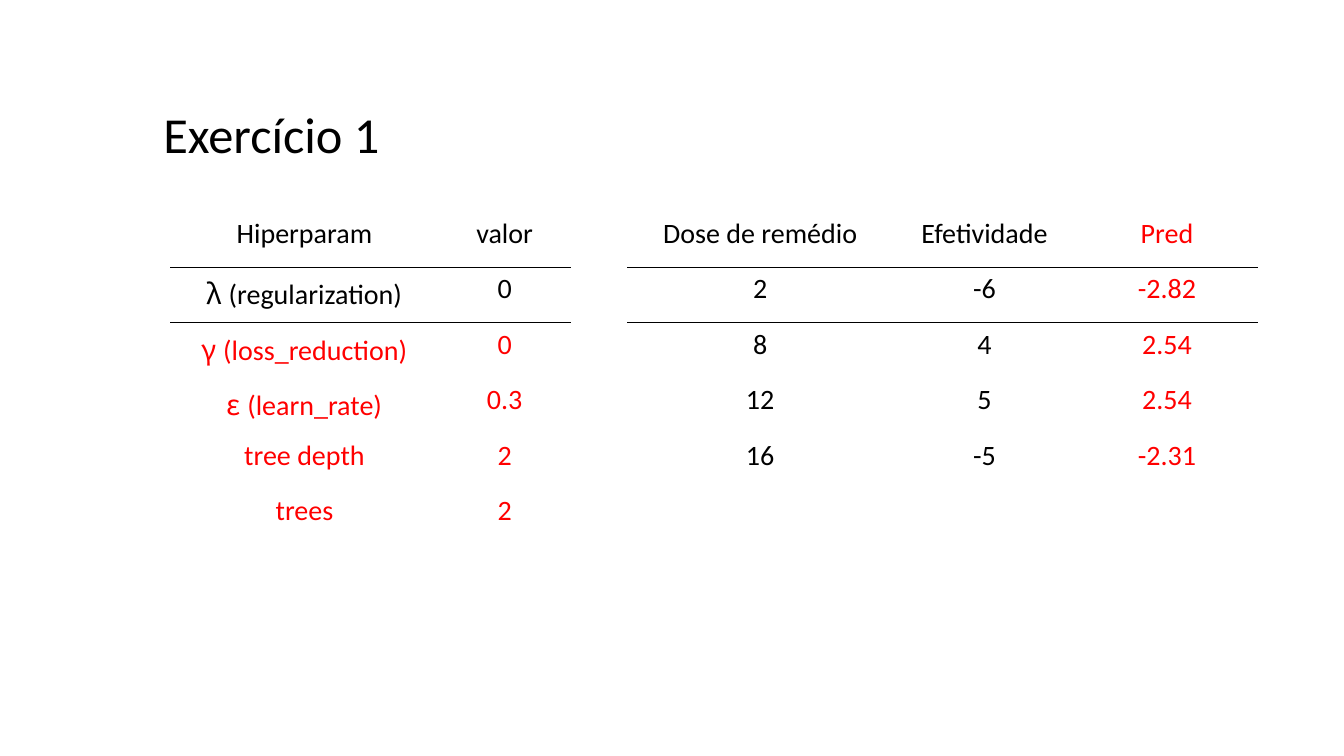
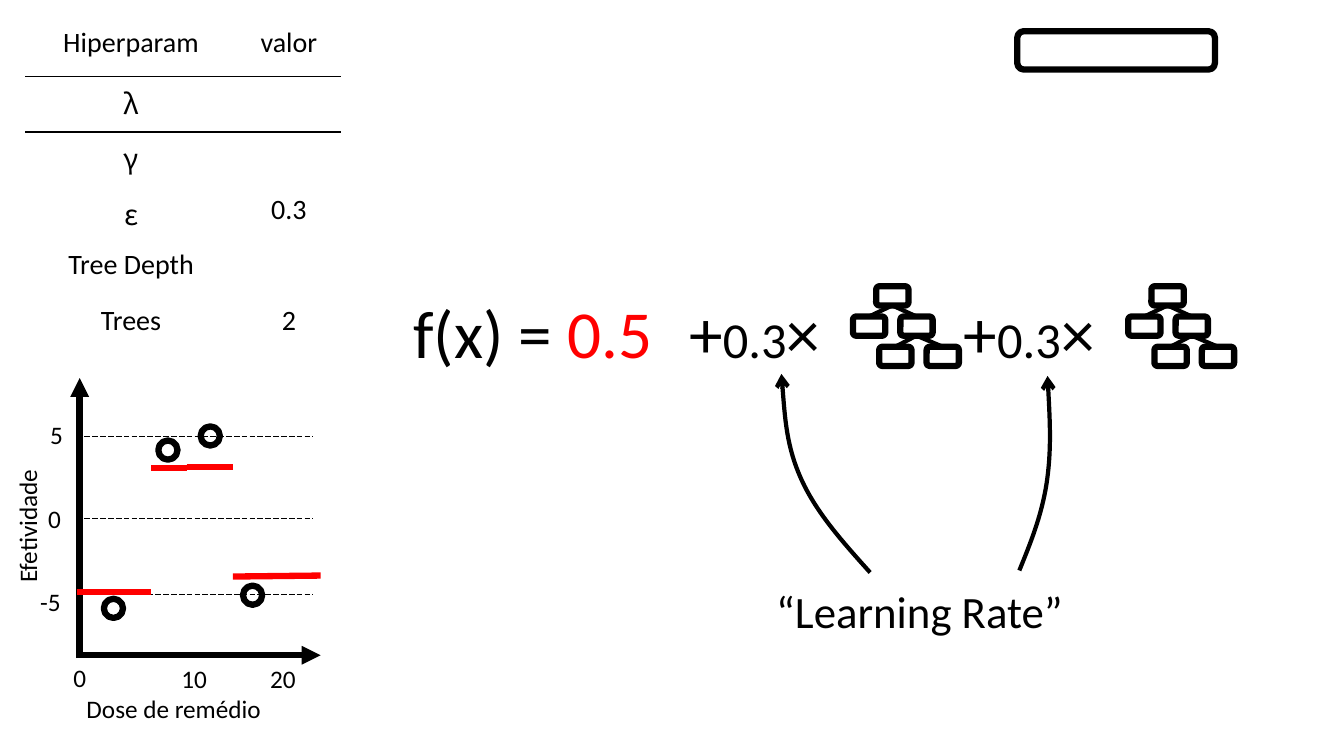
from lxml import etree
from pptx import Presentation
from pptx.dml.color import RGBColor
from pptx.enum.dml import MSO_LINE
from pptx.enum.shapes import MSO_CONNECTOR, MSO_SHAPE
from pptx.enum.text import MSO_ANCHOR, MSO_AUTO_SIZE, PP_ALIGN
from pptx.oxml.ns import qn
from pptx.util import Inches, Pt

COLORS = {"ink": "000000", "accent": "FF0000", "paper": "FFFFFF"}
TEXT_FONT, SYMBOL_FONT = "Calibri", "Noto Sans CJK SC"
SYMBOLS = "λγε"
TITLE_ONLY, BLANK = 5, 6
PLAIN_TABLE = "{2D5ABB26-0587-4C30-8999-92F81FD0307C}"
STRAIGHT = MSO_CONNECTOR.STRAIGHT
ROUNDED, CIRCLE = MSO_SHAPE.ROUNDED_RECTANGLE, MSO_SHAPE.OVAL
LONG_DASH = MSO_LINE.LONG_DASH
LEFT, CENTER, TOP = PP_ALIGN.LEFT, PP_ALIGN.CENTER, MSO_ANCHOR.TOP
ROW_HEIGHT = 0.55
NODE_WIDTH, NODE_HEIGHT = 0.32, 0.19
POINT_SIZE = 0.19


def rgb(name):
    return RGBColor.from_string(COLORS[name])


def add_run(paragraph, text, size, color="ink", font=TEXT_FONT):
    run = paragraph.add_run()
    run.text = text
    run.font.size = Pt(size)
    run.font.name = font
    run.font.color.rgb = rgb(color)


def place(shape, left, top, width, height):
    shape.left, shape.top = Inches(left), Inches(top)
    shape.width, shape.height = Inches(width), Inches(height)


def set_title(slide, text):
    title = slide.shapes.title
    place(title, 1.52, 0.97, 2.8, 0.71)
    frame = title.text_frame
    frame.auto_size = MSO_AUTO_SIZE.NONE
    frame.vertical_anchor = TOP
    frame.paragraphs[0].alignment = LEFT
    add_run(frame.paragraphs[0], text, 36)


def add_label(slide, box, *runs, rotation=0):
    """Each run is a tuple of text, size and, if not black, colour."""
    label = slide.shapes.add_textbox(*map(Inches, box))
    label.rotation = rotation
    label.text_frame.word_wrap = True
    for run in runs:
        add_run(label.text_frame.paragraphs[0], *run)


def add_cell_rule(cell, side):
    properties = cell._tc.get_or_add_tcPr()
    rule = etree.Element(qn(f"a:{side}"), w=str(Pt(1)))
    fill = etree.SubElement(rule, qn("a:solidFill"))
    etree.SubElement(fill, qn("a:srgbClr"), val=COLORS["ink"])
    properties.insert(0, rule)


def fill_cell(cell, text, color):
    cell.fill.background()
    paragraph = cell.text_frame.paragraphs[0]
    paragraph.alignment = CENTER
    if text and text[0] in SYMBOLS:
        add_run(paragraph, text[:2], 20, color, SYMBOL_FONT)
        text = text[2:]
    if text:
        add_run(paragraph, text, 20, color)


def add_ruled_table(slide, left, top, widths, rows, is_accent=lambda row, col: False):
    """Plain table with one rule under its header row."""
    frame = slide.shapes.add_table(
        len(rows), len(widths), Inches(left), Inches(top),
        Inches(sum(widths)), Inches(ROW_HEIGHT * len(rows)))
    table = frame.table
    table.first_row = table.horz_banding = False
    table._tbl.tblPr.find(qn("a:tableStyleId")).text = PLAIN_TABLE
    for column, width in zip(table.columns, widths):
        column.width = Inches(width)
    for r, row in enumerate(rows):
        table.rows[r].height = Inches(ROW_HEIGHT)
        for c, text in enumerate(row):
            cell = table.cell(r, c)
            fill_cell(cell, text, "accent" if is_accent(r, c) else "ink")
            if r < 2:
                add_cell_rule(cell, "lnT" if r else "lnB")


def style_line(shape, width, color="ink"):
    shape.line.color.rgb = rgb(color)
    shape.line.width = Pt(width)


def add_arrowhead(shape, end, kind):
    etree.SubElement(shape.line._get_or_add_ln(), qn(f"a:{end}"), type=kind)


def add_line(shapes, start, end, width, color="ink"):
    line = shapes.add_connector(STRAIGHT, *map(Inches, (*start, *end)))
    style_line(line, width, color)
    etree.SubElement(line._element.spPr, qn("a:effectLst"))
    return line


def add_outline(shapes, preset, box, fill=None):
    shape = shapes.add_shape(preset, *map(Inches, box))
    shape.shadow.inherit = False
    if fill:
        shape.fill.solid()
        shape.fill.fore_color.rgb = rgb(fill)
    else:
        shape.fill.background()
    style_line(shape, 4.5)


def add_tree(slide, left, top):
    nodes = [(0.23, 0), (0, 0.3), (0.47, 0.3), (0.26, 0.6), (0.73, 0.6)]
    edges = [(0, 1), (0, 2), (2, 4), (2, 3)]
    shapes = slide.shapes.add_group_shape().shapes
    for x, y in nodes:
        add_outline(shapes, ROUNDED, (left + x, top + y, NODE_WIDTH, NODE_HEIGHT), "paper")
    middle = left + NODE_WIDTH / 2
    for parent, child in edges:
        (px, py), (cx, cy) = nodes[parent], nodes[child]
        add_line(shapes, (middle + cx, top + cy), (middle + px, top + py + NODE_HEIGHT), 3)


def add_curved_arrow(slide, start, *points):
    """Bezier arrow pointing at start; every three points make one curve."""
    builder = slide.shapes.build_freeform(Inches(start[0]), Inches(start[1]))
    builder.add_line_segments([(Inches(x), Inches(y)) for x, y in points], close=False)
    curve = builder.convert_to_shape()
    segments = list(curve._element.iter(qn("a:lnTo")))
    for i in range(0, len(segments), 3):
        bezier = etree.Element(qn("a:cubicBezTo"))
        segments[i].addprevious(bezier)
        for segment in segments[i:i + 3]:
            bezier.append(segment[0])
            segment.getparent().remove(segment)
    curve.shadow.inherit = False
    curve.fill.background()
    style_line(curve, 3)
    add_arrowhead(curve, "headEnd", "arrow")


def add_dose_plot(slide):
    shapes = slide.shapes
    for start, end in [((0.79, 6.53), (0.79, 3.75)), ((0.79, 6.5), (3.18, 6.5))]:
        add_arrowhead(add_line(shapes, start, end, 4.5), "tailEnd", "triangle")
    for x, y in [(1.03, 5.94), (1.57, 4.37), (1.99, 4.23), (2.41, 5.81)]:
        add_outline(shapes, CIRCLE, (x, y, POINT_SIZE, POINT_SIZE))
    for y in (4.33, 5.14, 5.9):
        add_line(shapes, (0.76, y), (3.1, y), 0.5).line.dash_style = LONG_DASH
    ticks = [("5", 0.4, 4.11), ("0", 0.38, 4.94), ("-5", 0.3, 5.77),
             ("0", 0.63, 6.52), ("10", 1.7, 6.53), ("20", 2.58, 6.53)]
    for text, x, y in ticks:
        add_label(slide, (x, y, 0.53, 0.4), (text, 18))
    add_label(slide, (0.76, 6.83, 2.27, 0.4), ("Dose de remédio", 18))
    add_label(slide, (-0.52, 4.89, 1.58, 0.4), ("Efetividade", 18), rotation=270)
    predictions = [((0.76, 5.87), (1.5, 5.87)), ((1.5, 4.64), (1.85, 4.64)),
                   ((1.85, 4.63), (2.31, 4.63)), ((2.31, 5.72), (3.18, 5.71))]
    for start, end in predictions:
        add_line(shapes, start, end, 4.5, "accent")


def build_exercise(slide):
    set_title(slide, "Exercício 1")
    add_ruled_table(slide, 6.22, 2.1, [2.64, 1.81, 1.81], [
        ("Dose de remédio", "Efetividade", "Pred"),
        ("2", "-6", "-2.82"),
        ("8", "4", "2.54"),
        ("12", "5", "2.54"),
        ("16", "-5", "-2.31"),
    ], lambda row, col: col == 2)
    add_ruled_table(slide, 1.69, 2.1, [2.66, 1.31], [
        ("Hiperparam", "valor"),
        ("λ (regularization)", "0"),
        ("γ (loss_reduction)", "0"),
        ("ε (learn_rate)", "0.3"),
        ("tree depth", "2"),
        ("trees", "2"),
    ], lambda row, col: row > 1)


def build_learning_rate(slide):
    add_ruled_table(slide, 0.25, 0.21, [2.1, 1.03], [
        ("Hiperparam", "valor"),
        ("λ", ""),
        ("γ", ""),
        ("ε", "0.3"),
        ("Tree Depth", ""),
        ("Trees", "2"),
    ])
    add_outline(slide.shapes, ROUNDED, (10.09, 0.31, 1.96, 0.38))
    add_label(slide, (4, 2.84, 2.84, 0.91), ("f(x) = ", 48), ("0.5", 48, "accent"))
    for term_left, tree_left in [(6.74, 8.46), (9.46, 11.19)]:
        add_tree(slide, tree_left, 2.84)
        add_label(slide, (term_left, 2.84, 1.85, 0.91), ("+", 48), ("0.3", 36), ("×", 48))
    add_curved_arrow(slide, (7.75, 3.71), (7.78, 4.07), (7.8, 4.43), (7.95, 4.76),
                     (8.1, 5.09), (8.36, 5.38), (8.63, 5.68))
    add_curved_arrow(slide, (10.39, 3.73), (10.41, 4.1), (10.43, 4.47), (10.38, 4.8),
                     (10.33, 5.12), (10.22, 5.39), (10.11, 5.66))
    add_label(slide, (7.6, 5.74, 3.75, 0.64), ("“Learning Rate”", 32))
    add_dose_plot(slide)


def main():
    deck = Presentation()
    deck.slide_width, deck.slide_height = Inches(13.33), Inches(7.5)
    for layout, build in [(TITLE_ONLY, build_exercise), (BLANK, build_learning_rate)]:
        build(deck.slides.add_slide(deck.slide_layouts[layout]))
    deck.save("out.pptx")


if __name__ == "__main__":
    main()
